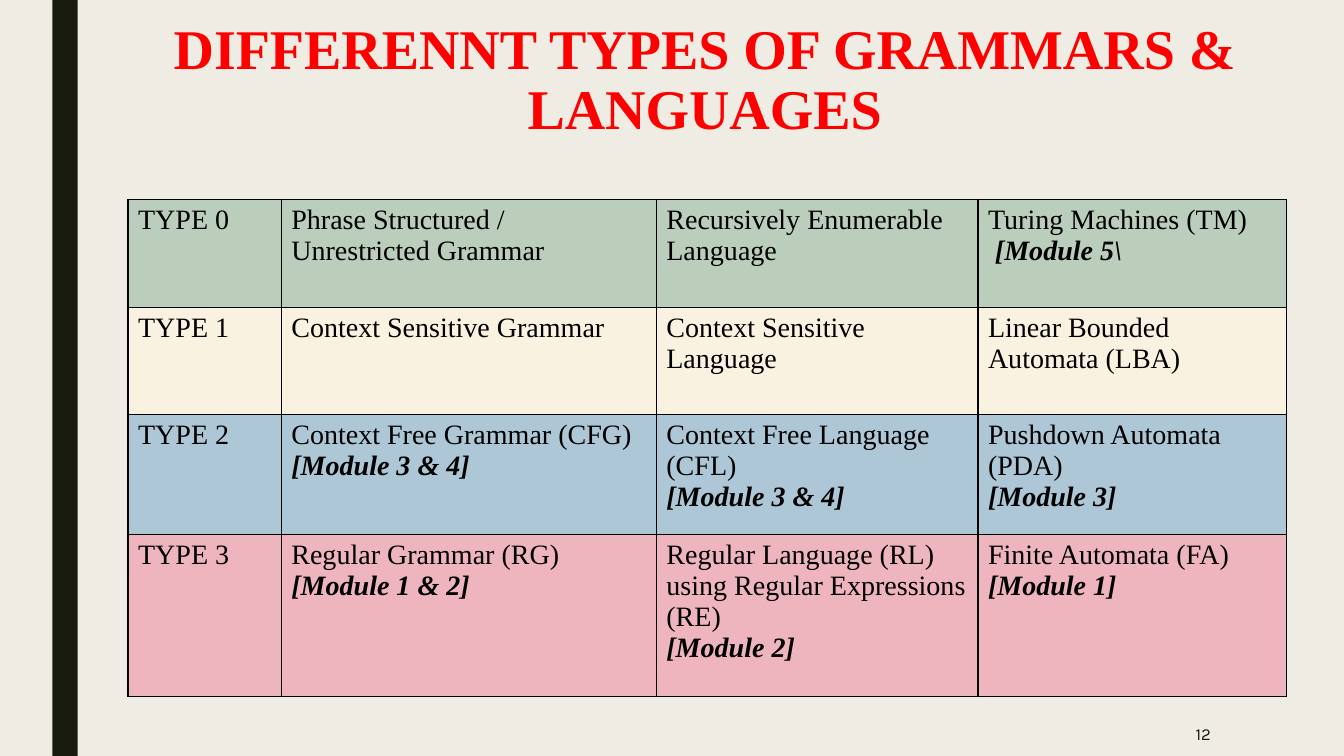
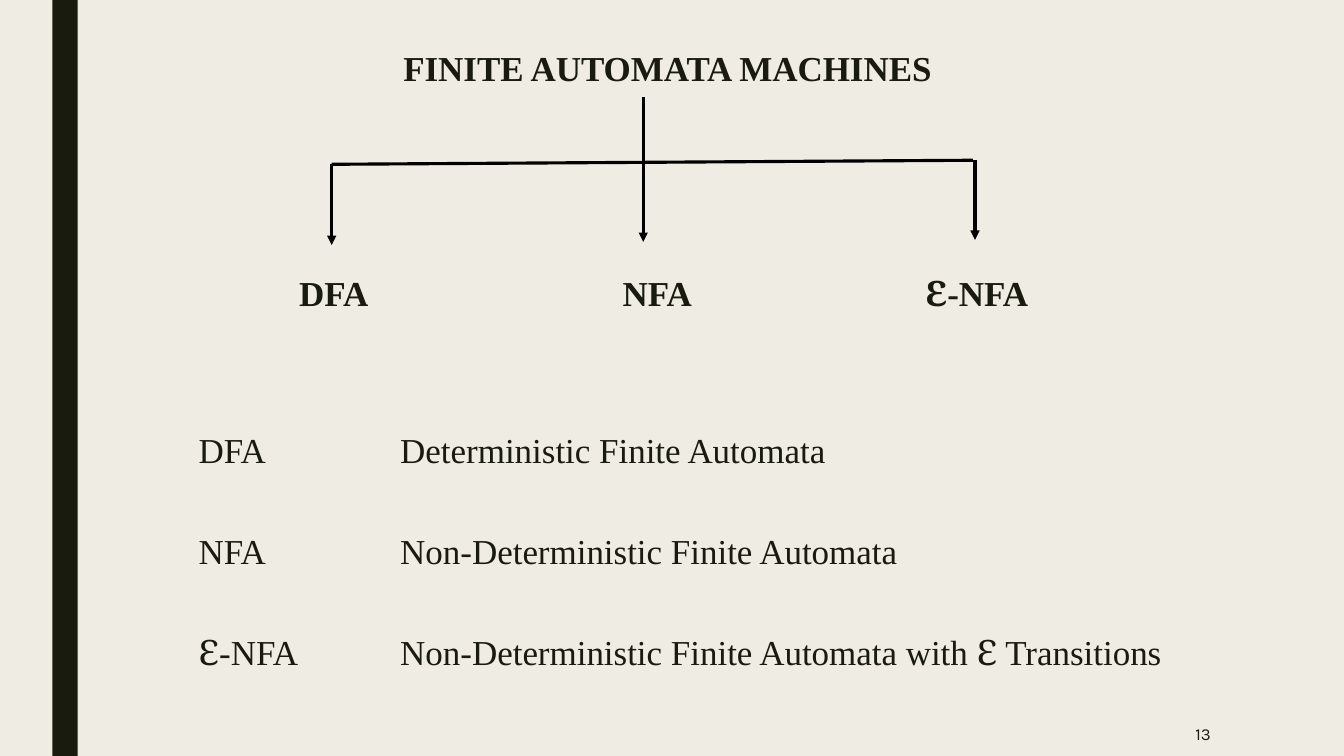
from lxml import etree
from pptx import Presentation
from pptx.dml.color import RGBColor
from pptx.enum.shapes import MSO_CONNECTOR, MSO_SHAPE
from pptx.enum.text import MSO_ANCHOR, PP_ALIGN
from pptx.oxml.ns import qn
from pptx.util import Inches, Pt

LEFT, CENTER, RIGHT = PP_ALIGN.LEFT, PP_ALIGN.CENTER, PP_ALIGN.RIGHT
TOP, MIDDLE = MSO_ANCHOR.TOP, MSO_ANCHOR.MIDDLE
RECT, STRAIGHT = MSO_SHAPE.RECTANGLE, MSO_CONNECTOR.STRAIGHT

CREAM = RGBColor(0xEF, 0xED, 0xE3)
DARK = RGBColor(0x19, 0x1B, 0x0E)
RED = RGBColor(0xFF, 0x00, 0x00)
BLACK = RGBColor(0x00, 0x00, 0x00)
GREEN = RGBColor(0xBB, 0xCD, 0xBB)
SAND = RGBColor(0xFA, 0xF2, 0xE1)
BLUE = RGBColor(0xAD, 0xC7, 0xD6)
PINK = RGBColor(0xEE, 0xB5, 0xBF)

SERIF, SANS = "Times New Roman", "Karla"


def write(tf, text, size=25, font=SERIF, color=DARK, bold=False, italic=False,
          align=LEFT, leading=None, gap=0, tab=None):
    """Add one paragraph to a text frame, reusing its first empty one."""
    first = not tf.text
    p = tf.paragraphs[0] if first else tf.add_paragraph()
    p.alignment = align
    if leading:
        p.line_spacing = Pt(leading)
    p.space_before = Pt(0 if first else gap)
    if tab:
        tabs = etree.SubElement(p._p.get_or_add_pPr(), qn("a:tabLst"))
        etree.SubElement(tabs, qn("a:tab"), pos=str(Inches(tab)), algn="l")
    r = p.add_run()
    r.text = text
    r.font.name, r.font.size = font, Pt(size)
    r.font.bold, r.font.italic = bold, italic
    r.font.color.rgb = color


class Deck:
    """The shared style and the slide being built."""

    def __init__(self):
        self.prs = Presentation()
        self.prs.slide_width, self.prs.slide_height = Inches(13.33), Inches(7.5)
        self.s = None

    def slide(self, number):
        self.s = self.prs.slides.add_slide(self.prs.slide_layouts[6])
        bg = self.s.background.fill
        bg.solid()
        bg.fore_color.rgb = CREAM
        # Side band
        sp = self.s.shapes.add_shape(RECT, Inches(0.52), 0, Inches(0.25), Inches(7.5))
        sp.shadow.inherit = False
        sp.fill.solid()
        sp.fill.fore_color.rgb = DARK
        sp.line.fill.background()
        # Page number
        self.text(10.36, 7.06, 1.65, 0.44, [str(number)], anchor=MIDDLE,
                  size=12, font=SANS, align=RIGHT)

    def text(self, x, y, w, h, lines, anchor=TOP, **fmt):
        box = self.s.shapes.add_textbox(Inches(x), Inches(y), Inches(w), Inches(h))
        tf = box.text_frame
        tf.word_wrap = True
        tf.vertical_anchor = anchor
        tf.margin_left = tf.margin_right = tf.margin_top = tf.margin_bottom = 0
        for line in lines:
            write(tf, line, **fmt)

    def title(self, text):
        self.text(1.34, 0.2, 11.3, 1.4, [text], size=40, color=RED, bold=True,
                  align=CENTER, leading=43)

    def line(self, x1, y1, x2, y2, arrow=False):
        c = self.s.shapes.add_connector(STRAIGHT, Inches(x1), Inches(y1),
                                        Inches(x2), Inches(y2))
        c.line.color.rgb = BLACK
        c.line.width = Pt(2.25)
        if arrow:
            etree.SubElement(c.line._get_or_add_ln(), qn("a:tailEnd"), type="triangle")
        etree.SubElement(c._element.spPr, qn("a:effectLst"))

    def table(self, x, y, widths, heights, rows, fills):
        table = self.s.shapes.add_table(
            len(rows), len(widths), Inches(x), Inches(y),
            Inches(sum(widths)), Inches(sum(heights))).table
        table.first_row = table.horz_banding = False
        for col, w in zip(table.columns, widths):
            col.width = Inches(w)
        for row, h, texts, fill in zip(table.rows, heights, rows, fills):
            row.height = Inches(h)
            for cell, text in zip(row.cells, texts):
                self.cell(cell, text, fill)

    def cell(self, cell, text, fill):
        for line in text.split("\n"):
            module = line.strip().startswith("[")
            write(cell.text_frame, line, size=20, color=BLACK, bold=module, italic=module)
        # Borders come before the fill in the cell properties
        tcPr = cell._tc.get_or_add_tcPr()
        for side in ("lnL", "lnR", "lnT", "lnB"):
            ln = etree.SubElement(tcPr, qn("a:" + side), w=str(Pt(1)))
            solid = etree.SubElement(ln, qn("a:solidFill"))
            etree.SubElement(solid, qn("a:srgbClr"), val=str(BLACK))
        cell.fill.solid()
        cell.fill.fore_color.rgb = fill


def grammar_types(deck):
    deck.slide(12)
    deck.title("DIFFERENNT TYPES OF GRAMMARS & LANGUAGES")
    rows = [
        ("TYPE 0", "Phrase Structured / Unrestricted Grammar",
         "Recursively Enumerable Language", "Turing Machines (TM)\n [Module 5\\"),
        ("TYPE 1", "Context Sensitive Grammar",
         "Context Sensitive Language", "Linear Bounded Automata (LBA)"),
        ("TYPE 2", "Context Free Grammar (CFG)\n[Module 3 & 4]",
         "Context Free Language (CFL)\n[Module 3 & 4]",
         "Pushdown Automata (PDA)\n[Module 3]"),
        ("TYPE 3", "Regular Grammar (RG)\n[Module 1 & 2]",
         "Regular Language (RL)\nusing Regular Expressions (RE)\n[Module 2]",
         "Finite Automata (FA)\n[Module 1]"),
    ]
    deck.table(1.27, 1.98, [1.52, 3.72, 3.19, 3.06], [1.07, 1.06, 1.19, 1.61],
               rows, [GREEN, SAND, BLUE, PINK])


def automata_machines(deck):
    deck.slide(13)
    # Tree: heading, branches and labels
    label = dict(bold=True, align=CENTER, leading=36)
    deck.text(0.87, 0.38, 11.5, 0.5, ["FINITE AUTOMATA MACHINES"], **label)
    deck.line(3.29, 1.63, 9.65, 1.59)
    branches = [("DFA", 3.31, 3.29, 1.63, 2.43),
                ("NFA", 6.52, 6.38, 0.96, 2.4),
                ("ℇ-NFA", 9.69, 9.67, 1.59, 2.38)]
    for name, center, x, top, bottom in branches:
        deck.line(x, top, x, bottom, arrow=True)
        deck.text(center - 1, 2.61, 2, 0.5, [name], **label)
    # Meanings
    deck.text(1.97, 4.17, 10.3, 2.5,
              ["DFA\tDeterministic Finite Automata",
               "NFA\tNon-Deterministic Finite Automata",
               "ℇ-NFA\tNon-Deterministic Finite Automata with ℇ Transitions"],
              leading=36, gap=36, tab=2)


def main():
    deck = Deck()
    grammar_types(deck)
    automata_machines(deck)
    deck.prs.save("out.pptx")


if __name__ == "__main__":
    main()
